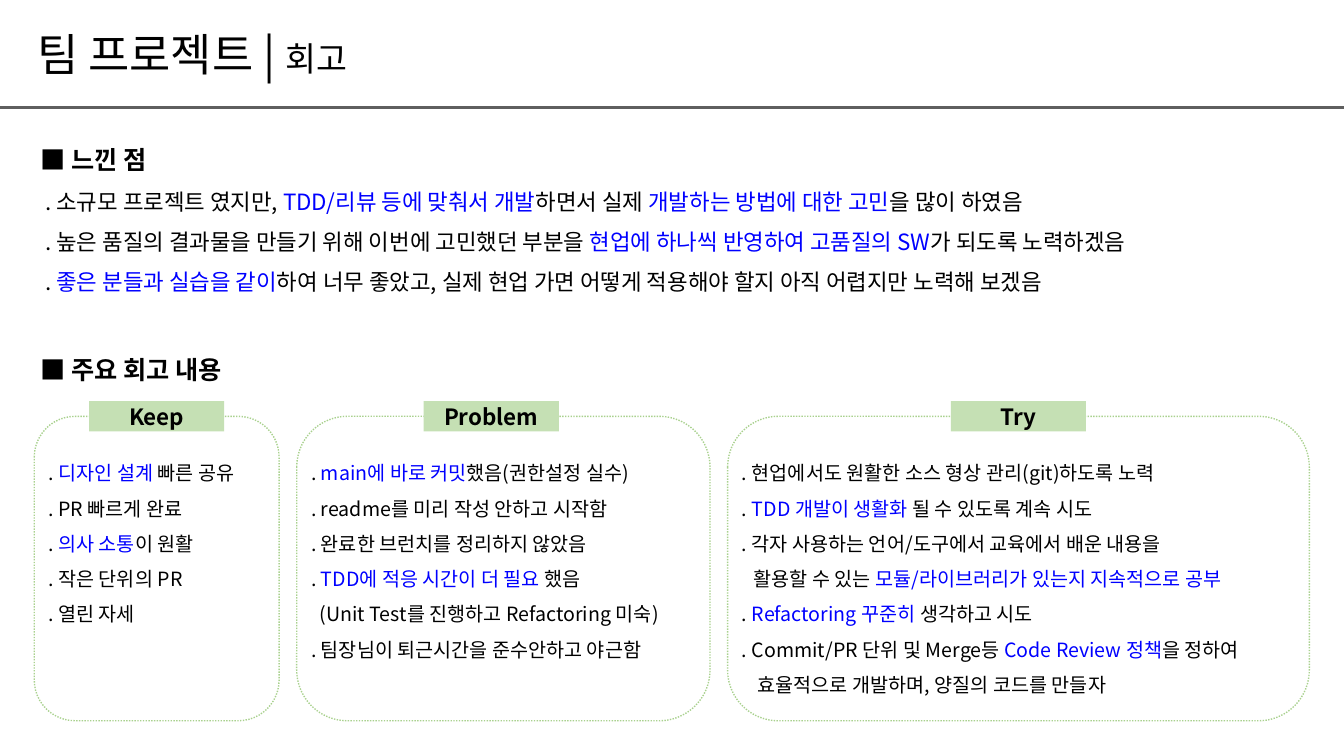
from dataclasses import dataclass
from lxml import etree
from pptx import Presentation, util as u
from pptx.dml.color import RGBColor
from pptx.enum import dml, shapes, text
from pptx.oxml import ns


@dataclass(frozen=True)
class Theme:
    font: str = "Noto Sans CJK KR"
    ink: str = "000000"
    accent: str = "0000FF"
    rule: str = "5F5F5F"
    border: str = "A9D18E"
    tab: str = "C5E0B4"
    title: int = 32
    subtitle: int = 24
    heading: int = 18
    body: int = 16
    card: int = 14


TITLE, SUBTITLE = "팀 프로젝트 | ", "회고"
FEELINGS_HEADING = "■ 느낀 점"
FEELINGS = [
    " . 소규모 프로젝트 였지만, *TDD/리뷰 등에 맞춰서 개발*하면서 실제 *개발하는 방법에 대한 고민*을 많이 하였음",
    " . 높은 품질의 결과물을 만들기 위해 이번에 고민했던 부분을 *현업에 하나씩 반영하여 고품질의 SW*가 되도록 노력하겠음",
    " . *좋은 분들과 실습을 같이*하여 너무 좋았고, 실제 현업 가면 어떻게 적용해야 할지 아직 어렵지만 노력해 보겠음",
]
REVIEW_HEADING = "■ 주요 회고 내용"
CARDS = [
    {"name": "Keep", "width": 18.22, "tab_shift": 0, "lines": [
        (" . *디자인 설계 *빠른 공유", 0),
        (" . PR 빠르게 완료", 0),
        (" . *의사 소통*이 원활", 0),
        (" . 작은 단위의 PR", 0),
        (" . 열린 자세", 0),
    ]},
    {"name": "Problem", "width": 30.75, "tab_shift": -0.9, "lines": [
        (" . *main에 바로 커밋*했음(권한설정 실수)", 0),
        (" . readme를 미리 작성 안하고 시작함", 0),
        (" . 완료한 브런치를 정리하지 않았음", 0),
        (" . *TDD에 적응 시간이 더 필요 *했음", 0),
        ("(Unit Test를 진행하고 Refactoring 미숙)", 0.13),
        (" . 팀장님이 퇴근시간을 준수안하고 야근함", 0),
    ]},
    {"name": "Try", "width": 43.28, "tab_shift": 0, "lines": [
        (" . 현업에서도 원활한 소스 형상 관리(git)하도록 노력", 0),
        (" . *TDD 개발이 생활화* 될 수 있도록 계속 시도", 0),
        (" . 각자 사용하는 언어/도구에서 교육에서 배운 내용을", 0),
        ("활용할 수 있는 *모듈/라이브러리가 있는지 지속적으로 공부*", 0.16),
        (" . *Refactoring 꾸준히 *생각하고 시도", 0),
        (" . Commit/PR 단위 및 Merge등 *Code Review 정책*을 정하여", 0),
        ("효율적으로 개발하며, 양질의 코드를 만들자", 0.2),
    ]},
]
CARD_LEFT, CARD_TOP, CARD_HEIGHT, CARD_GAP = 2.55, 55.07, 40.27, 1.31
TAB_TOP, TAB_WIDTH, TAB_HEIGHT = 53.07, 10.05, 4
LINES_TOP, LINES_HEIGHT = 58.8, 34.67
RULE_Y = 14.27

th = Theme()
prs = Presentation()
prs.slide_width, prs.slide_height = u.Inches(13.333), u.Inches(7.5)
s = prs.slides.add_slide(prs.slide_layouts[6])


def box(left, top, width, height):
    w, h = prs.slide_width / 100, prs.slide_height / 100
    return int(left * w), int(top * h), int(width * w), int(height * h)


def frame(sp, x=0.1, y=0.05):
    tf = sp.text_frame
    tf.word_wrap = True
    tf.margin_left = tf.margin_right = u.Inches(x)
    tf.margin_top = tf.margin_bottom = u.Inches(y)
    return tf


def write(p, content, size, bold=False, spacing=None, align=None, indent=0):
    p.line_spacing, p.alignment = spacing, align
    if indent:
        p._p.get_or_add_pPr().set("marL", str(u.Inches(indent)))
    for i, part in enumerate(content.split("*")):
        if not part:
            continue
        r = p.add_run()
        r.text = part
        r.font.size, r.font.bold, r.font.name = u.Pt(size), bold, th.font
        r.font.color.rgb = RGBColor.from_string(th.accent if i % 2 else th.ink)
        etree.SubElement(r.font._element, ns.qn("a:ea"), typeface=th.font)


def text_block(area, rows):
    tf = frame(s.shapes.add_textbox(*box(*area)))
    for i, (content, fmt) in enumerate(rows):
        p = tf.add_paragraph() if i else tf.paragraphs[0]
        write(p, content, spacing=1.5, **fmt)


def draw_shape(kind, area):
    sp = s.shapes.add_shape(kind, *box(*area))
    sp.shadow.inherit = False
    return sp


def draw_card(card, left):
    width = card["width"]
    text_block((left, LINES_TOP, width, LINES_HEIGHT),
               [(t, {"size": th.card, "indent": n}) for t, n in card["lines"]])
    sp = draw_shape(shapes.MSO_SHAPE.ROUNDED_RECTANGLE, (left, CARD_TOP, width, CARD_HEIGHT))
    sp.fill.background()
    sp.line.color.rgb = RGBColor.from_string(th.border)
    sp.line.width = u.Pt(1)
    sp.line.dash_style = dml.MSO_LINE.ROUND_DOT
    tab_left = left + (width - TAB_WIDTH) / 2 + card["tab_shift"]
    tab = draw_shape(shapes.MSO_SHAPE.RECTANGLE, (tab_left, TAB_TOP, TAB_WIDTH, TAB_HEIGHT))
    tab.fill.solid()
    tab.fill.fore_color.rgb = RGBColor.from_string(th.tab)
    tab.line.fill.background()
    tf = frame(tab, 0, 0)
    tf.vertical_anchor = text.MSO_ANCHOR.MIDDLE
    write(tf.paragraphs[0], card["name"], th.body, bold=True, align=text.PP_ALIGN.CENTER)


x, y, w, _ = box(0, RULE_Y, 100, 0)
rule = s.shapes.add_connector(shapes.MSO_CONNECTOR.STRAIGHT, x, y, x + w, y)
rule.line.color.rgb = RGBColor.from_string(th.rule)
rule.line.width = u.Pt(2)
etree.SubElement(rule._element.spPr, ns.qn("a:effectLst"))

title = frame(s.shapes.add_textbox(*box(1.95, 2.8, 62.2, 8.67)), 0.11, 0.06)
title.auto_size = text.MSO_AUTO_SIZE.SHAPE_TO_FIT_TEXT
write(title.paragraphs[0], TITLE, th.title)
write(title.paragraphs[0], SUBTITLE, th.subtitle)

heading = {"size": th.heading, "bold": True}
text_block((2.25, 16.4, 92.65, 24.93),
           [(FEELINGS_HEADING, heading)] + [(t, {"size": th.body}) for t in FEELINGS])
text_block((2.25, 44.27, 39.8, 8), [(REVIEW_HEADING, heading)])

left = CARD_LEFT
for card in CARDS:
    draw_card(card, left)
    left += card["width"] + CARD_GAP

prs.save("out.pptx")
